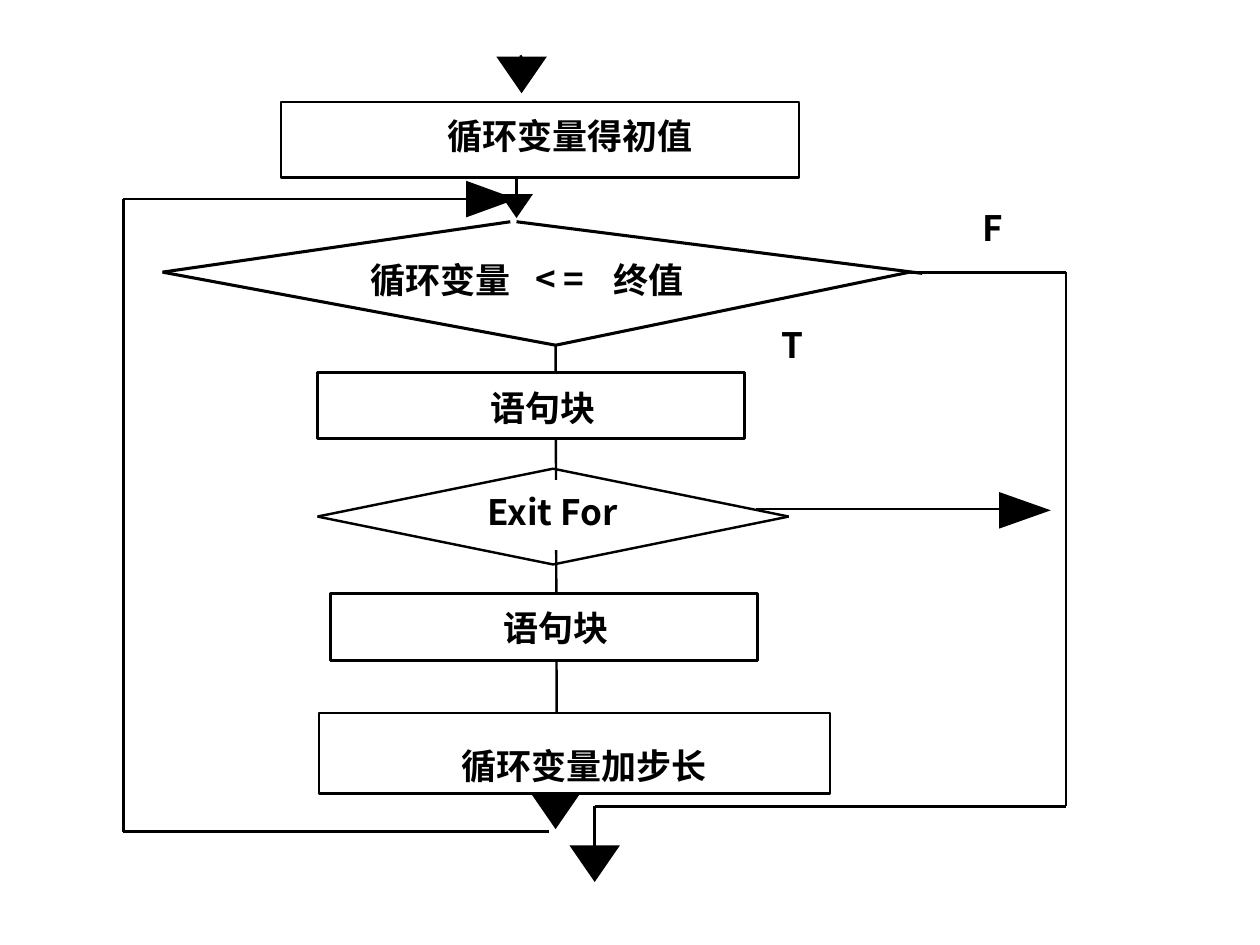
from dataclasses import dataclass
from lxml import etree
from pptx import Presentation
from pptx import util as u
from pptx.dml.color import RGBColor
from pptx.enum import shapes, text
from pptx.oxml.ns import qn


@dataclass(frozen=True)
class Theme:
    ink: RGBColor = RGBColor(0, 0, 0)
    paper: RGBColor = RGBColor(255, 255, 255)
    font: str = "Noto Sans CJK SC"
    spacer_font: str = "Times New Roman"
    size: int = 20
    spacer_size: int = 13
    thin: float = 1.39
    thick: float = 1.75


THEME = Theme()

BACK_LINES = [
    ([(4.41, 2.74), (4.42, 6.31)], THEME.thin),
    ([(4.1, 1.2), (4.1, 1.55)], THEME.thin),
]
BOXES = [
    ((2.23, 0.81, 4.11, 0.6), THEME.ink, THEME.thin),
    ((2.52, 2.96, 3.39, 0.52), THEME.ink, THEME.thick),
    ((2.57, 3.82, 3.39, 0.53), THEME.paper, THEME.thick),
    ((2.62, 4.71, 3.39, 0.53), THEME.ink, THEME.thick),
    ((2.53, 5.66, 4.06, 0.64), THEME.ink, THEME.thin),
    ((5.95, 2.52, 0.73, 0.45), None, 0),
    ((7.56, 1.59, 0.78, 0.45), None, 0),
]
FRONT_LINES = [
    ([(4.13, 0.44), (4.14, 0.46)], THEME.thin),
    ([(4.05, 1.76), (1.29, 2.16), (4.41, 2.74), (7.22, 2.16)], THEME.thick),
    ([(4.1, 1.76), (7.32, 2.17)], THEME.thick),
    ([(4.39, 3.72), (2.52, 4.1), (4.39, 4.48), (6.26, 4.1), (4.39, 3.72)], THEME.thin),
    ([(4.36, 6.6), (0.98, 6.6), (0.98, 1.58)], THEME.thick),
    ([(0.98, 1.58), (3.71, 1.58)], THEME.thin),
    ([(7.22, 2.16), (8.46, 2.16)], THEME.thick),
    ([(8.46, 2.16), (8.46, 6.4)], THEME.thin),
    ([(8.46, 6.4), (4.72, 6.4)], THEME.thick),
    ([(4.72, 6.4), (4.72, 6.73)], THEME.thin),
    ([(6, 4.04), (7.96, 4.04)], THEME.thin),
]
ARROWS = [
    ((4.14, 0.74), "down", 0.4, 0.29),
    ((4.1, 1.73), "down", 0.26, 0.19),
    ((4.41, 6.58), "down", 0.4, 0.29),
    ((4.72, 7), "down", 0.4, 0.29),
    ((4.1, 1.58), "right", 0.29, 0.4),
    ((8.34, 4.05), "right", 0.29, 0.41),
]
LABELS = [
    ("循环变量得初值", 3.55, 0.91, 1.95),
    ("循环变量", 2.9, 2.05, 1.2),
    ("< =", 4.2, 2.04, 0.44),
    ("终值", 4.87, 2.05, 0.56),
    ("语句块", 3.89, 3.07, 0.84),
    ("Exit For", 3.86, 3.89, 1.05),
    ("语句块", 3.99, 4.81, 0.84),
    ("循环变量加步长", 3.66, 5.91, 1.95),
    ("T", 6.2, 2.57, 0.16),
    ("F", 7.8, 1.64, 0.15),
]
LABEL_HEIGHT = 0.33


def add_path(page, points, width):
    for start, end in zip(points, points[1:]):
        line = page.shapes.add_connector(
            shapes.MSO_CONNECTOR.STRAIGHT, *map(u.Inches, start + end))
        line.line.color.rgb = THEME.ink
        line.line.width = u.Pt(width)
        etree.SubElement(line._element.spPr, qn("a:effectLst"))


def add_box(page, place, outline, width):
    box = page.shapes.add_shape(shapes.MSO_SHAPE.RECTANGLE, *map(u.Inches, place))
    box.shadow.inherit = False
    box.fill.solid()
    box.fill.fore_color.rgb = THEME.paper
    if outline is None:
        box.line.fill.background()
    else:
        box.line.color.rgb = outline
        box.line.width = u.Pt(width)


def add_arrow(page, tip, direction, base, length):
    x, y = tip
    if direction == "down":
        corners = [(x - base / 2, y - length), (x + base / 2, y - length)]
    else:
        corners = [(x - length, y - base / 2), (x - length, y + base / 2)]
    builder = page.shapes.build_freeform(u.Inches(x), u.Inches(y))
    builder.add_line_segments([tuple(map(u.Inches, corner)) for corner in corners])
    head = builder.convert_to_shape()
    head.shadow.inherit = False
    head.fill.solid()
    head.fill.fore_color.rgb = THEME.ink
    head.line.fill.background()


def add_span(para, words, font=THEME.font, size=THEME.size, bold=True):
    span = para.add_run()
    span.text = words
    span.font.name = font
    span.font.size = u.Pt(size)
    span.font.bold = bold
    span.font.color.rgb = THEME.ink
    east = etree.SubElement(span.font._element, qn("a:ea"))
    east.set("typeface", font)


def add_label(page, words, left, top, width):
    box = page.shapes.add_textbox(*map(u.Inches, (left, top, width, LABEL_HEIGHT)))
    frame = box.text_frame
    frame.margin_left = frame.margin_right = frame.margin_top = frame.margin_bottom = 0
    frame.word_wrap = False
    frame.auto_size = text.MSO_AUTO_SIZE.SHAPE_TO_FIT_TEXT
    para = frame.paragraphs[0]
    para.alignment = text.PP_ALIGN.CENTER
    if words == "< =":
        add_span(para, " ", font=THEME.spacer_font, size=THEME.spacer_size, bold=False)
    add_span(para, words)


def main():
    deck = Presentation()
    deck.slide_width, deck.slide_height = u.Inches(10), u.Inches(7.5)
    page = deck.slides.add_slide(deck.slide_layouts[6])
    for drawer, items in (
        (add_path, BACK_LINES),
        (add_box, BOXES),
        (add_path, FRONT_LINES),
        (add_arrow, ARROWS),
        (add_label, LABELS),
    ):
        for item in items:
            drawer(page, *item)
    deck.save("out.pptx")


if __name__ == "__main__":
    main()
